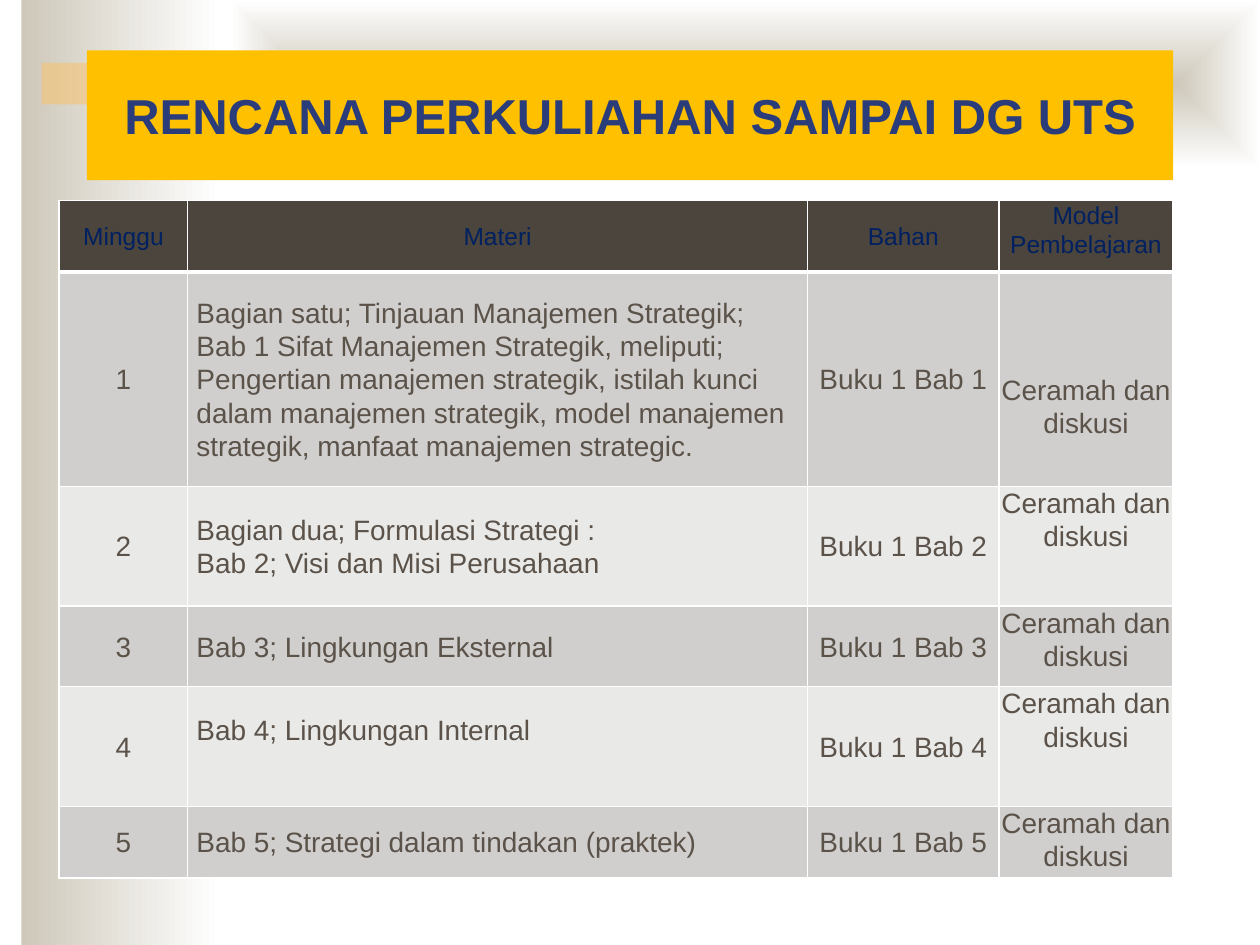
from lxml.etree import SubElement
from pptx import Presentation
from pptx.dml.color import RGBColor
from pptx.enum.shapes import MSO_SHAPE
from pptx.enum.text import MSO_ANCHOR, PP_ALIGN
from pptx.oxml import parse_xml
from pptx.oxml.ns import nsdecls, qn
from pptx.util import Inches, Pt

TITLE = "RENCANA PERKULIAHAN SAMPAI DG UTS"
HEADERS = ["Minggu", "Materi", "Bahan", "Model Pembelajaran"]
TOPICS = [
    "Bagian satu; Tinjauan Manajemen Strategik;\n"
    "Bab 1 Sifat Manajemen Strategik, meliputi;\n"
    "Pengertian manajemen strategik, istilah kunci dalam manajemen strategik, "
    "model manajemen strategik, manfaat manajemen strategic.",
    "Bagian dua; Formulasi Strategi :\nBab 2; Visi dan Misi Perusahaan",
    "Bab 3; Lingkungan Eksternal",
    "Bab 4; Lingkungan Internal",
    "Bab 5; Strategi dalam tindakan (praktek)",
]
METHOD = "Ceramah dan diskusi"
ROWS = [HEADERS] + [
    [str(week), topic, f"Buku 1 Bab {week}", METHOD]
    for week, topic in enumerate(TOPICS, 1)
]
COLUMN_WIDTHS = [1.02, 4.92, 1.52, 1.38]
ROW_HEIGHTS = [0.57, 1.7, 0.95, 0.64, 0.95, 0.57]
TOPIC_COLUMN, METHOD_COLUMN = 1, 3
EXTRA_MARGINS = {(1, 3): ("margin_top", 0.8), (4, 1): ("margin_bottom", 0.32)}

FONT = "Arial"
WHITE = RGBColor(0xFF, 0xFF, 0xFF)
SAND = RGBColor(0xCE, 0xC8, 0xBA)
ORANGE = RGBColor(0xFA, 0xC1, 0x64)
GOLD = RGBColor(0xFF, 0xC0, 0x00)
TITLE_BLUE = RGBColor(0x2A, 0x3D, 0x7A)
HEADER_BLUE = RGBColor(0x00, 0x20, 0x60)
HEADER_BROWN = RGBColor(0x4C, 0x45, 0x3D)
BODY_BROWN = RGBColor(0x5B, 0x52, 0x49)
BANDS = [RGBColor(0xE9, 0xE9, 0xE8), RGBColor(0xD0, 0xCF, 0xCE)]


def add_rectangle(slide, left, top, width, height):
    shape = slide.shapes.add_shape(
        MSO_SHAPE.RECTANGLE, Inches(left), Inches(top), Inches(width), Inches(height))
    shape.shadow.inherit = False
    shape.line.fill.background()
    return shape


def fade_to_white(shape):
    shape.fill.gradient()
    shape.fill.gradient_angle = 0
    for stop, color, position in zip(shape.fill.gradient_stops, (SAND, WHITE), (0, 1)):
        stop.color.rgb = color
        stop.position = position


def fade_from_centre(shape):
    fade_to_white(shape)
    linear = next(shape._element.iter(qn("a:lin")))
    linear.getparent().replace(linear, parse_xml(
        f'<a:path {nsdecls("a")} path="shape">'
        '<a:fillToRect l="50000" t="50000" r="50000" b="50000"/></a:path>'))


def add_background(slide):
    fade_to_white(add_rectangle(slide, 0.17, 0, 1.58, 7.5))
    fade_from_centre(add_rectangle(slide, 1.83, 0, 8.17, 1.33))
    accent = add_rectangle(slide, 0.33, 0.5, 2.75, 0.33)
    accent.fill.solid()
    accent.fill.fore_color.rgb = ORANGE
    color = next(accent._element.spPr.iter(qn("a:srgbClr")))
    SubElement(color, qn("a:alpha"), val="50000")


def style_font(paragraph, size, color, bold=False):
    for run in paragraph.runs:
        run.font.name = FONT
        run.font.size = Pt(size)
        run.font.bold = bold
        run.font.color.rgb = color


def add_title(slide):
    title = slide.shapes.title
    slide.shapes._spTree.append(title._element)
    title.left, title.top = Inches(0.69), Inches(0.4)
    title.width, title.height = Inches(8.62), Inches(1.03)
    title.fill.solid()
    title.fill.fore_color.rgb = GOLD
    title.text_frame.text = TITLE
    title.text_frame.vertical_anchor = MSO_ANCHOR.MIDDLE
    paragraph = title.text_frame.paragraphs[0]
    paragraph.alignment = PP_ALIGN.CENTER
    style_font(paragraph, 28, TITLE_BLUE, True)


def add_borders(cell, is_header):
    properties = cell._tc.get_or_add_tcPr()
    for side in "LRTB":
        width = Pt(3 if is_header and side == "B" else 1)
        properties.append(parse_xml(
            f'<a:ln{side} {nsdecls("a")} w="{width}"><a:solidFill>'
            f'<a:srgbClr val="{WHITE}"/></a:solidFill></a:ln{side}>'))


def fill_cell(cell, text, row, column):
    is_header = row == 0
    is_method = column == METHOD_COLUMN
    cell.text_frame.text = text
    cell.vertical_anchor = MSO_ANCHOR.TOP if is_method else MSO_ANCHOR.MIDDLE
    cell.margin_left = cell.margin_right = Inches(0 if is_method else 0.07)
    cell.margin_top = cell.margin_bottom = Inches(0 if is_method else 0.05)
    if (row, column) in EXTRA_MARGINS:
        side, margin = EXTRA_MARGINS[row, column]
        setattr(cell, side, Inches(margin))
    add_borders(cell, is_header)
    cell.fill.solid()
    cell.fill.fore_color.rgb = HEADER_BROWN if is_header else BANDS[row % 2]
    is_left = column == TOPIC_COLUMN and not is_header
    for paragraph in cell.text_frame.paragraphs:
        paragraph.alignment = PP_ALIGN.LEFT if is_left else PP_ALIGN.CENTER
        paragraph.line_spacing = 1.07
        if is_method and row >= 3:
            paragraph.space_after = Pt(8)
        style_font(paragraph, 14 if is_header else 16,
                   HEADER_BLUE if is_header else BODY_BROWN)


def add_schedule(slide):
    table = slide.shapes.add_table(
        len(ROWS), len(HEADERS), Inches(0.47), Inches(1.59),
        Inches(sum(COLUMN_WIDTHS)), Inches(sum(ROW_HEIGHTS))).table
    for column, width in zip(table.columns, COLUMN_WIDTHS):
        column.width = Inches(width)
    for row, height in zip(table.rows, ROW_HEIGHTS):
        row.height = Inches(height)
    for row, texts in enumerate(ROWS):
        for column, text in enumerate(texts):
            fill_cell(table.cell(row, column), text, row, column)


def main():
    presentation = Presentation()
    presentation.slide_width, presentation.slide_height = Inches(10), Inches(7.5)
    slide = presentation.slides.add_slide(presentation.slide_layouts[5])
    add_background(slide)
    add_title(slide)
    add_schedule(slide)
    presentation.save("out.pptx")


if __name__ == "__main__":
    main()
